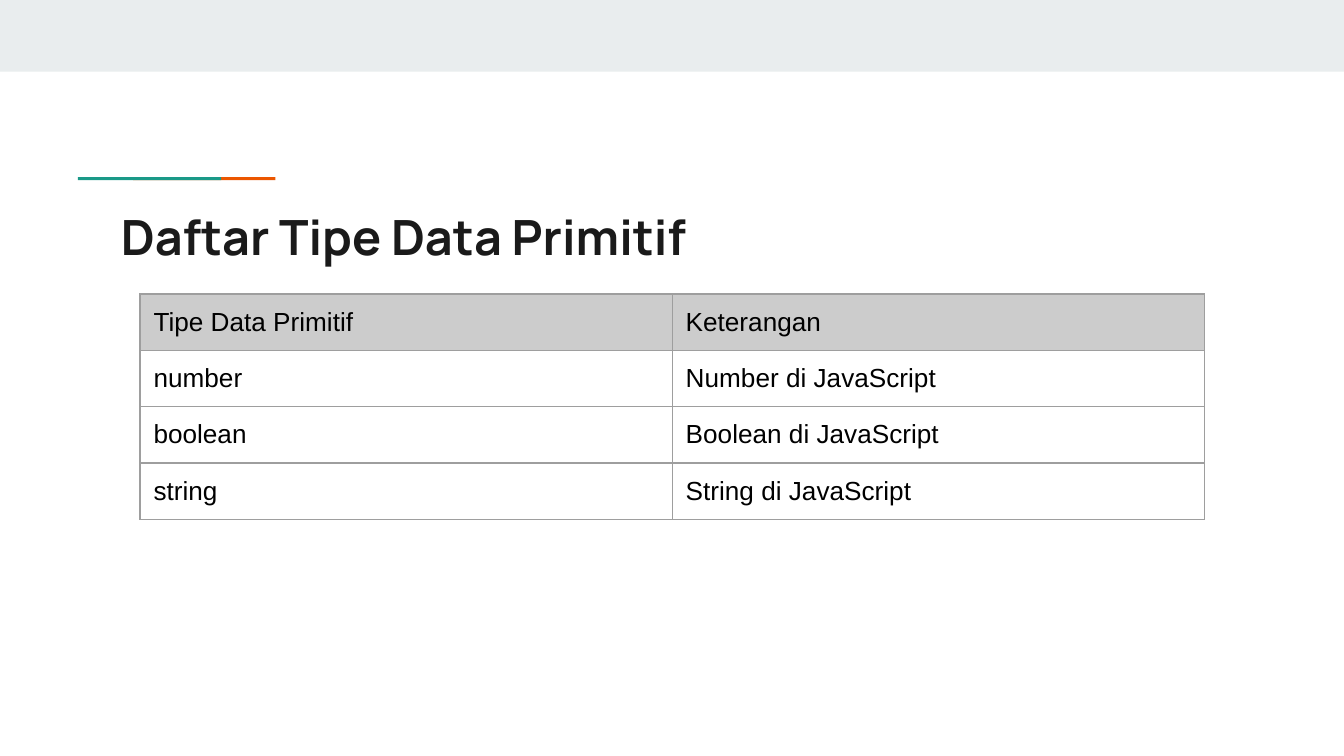
"""Build a slide that lists primitive data types in a table."""
from dataclasses import dataclass

from lxml.etree import SubElement
from pptx import Presentation
from pptx.dml.color import RGBColor
from pptx.enum.shapes import MSO_SHAPE
from pptx.enum.text import MSO_ANCHOR, PP_ALIGN
from pptx.oxml.ns import qn
from pptx.slide import Slide
from pptx.table import _Cell
from pptx.text.text import TextFrame
from pptx.util import Inches, Length, Pt


@dataclass(frozen=True)
class Theme:
    band: str = "E9EDEE"
    orange: str = "EB5600"
    teal: str = "1A9988"
    title: str = "1A1A1A"
    text: str = "000000"
    header: str = "CCCCCC"
    border: str = "9E9E9E"
    title_font: str = "Manrope"
    body_font: str = "Arial"
    title_size: float = 26
    body_size: float = 14
    border_width: float = 0.75


@dataclass(frozen=True)
class Area:
    column: float
    row: float
    columns: float
    rows: float

    def lengths(self) -> tuple[Length, ...]:
        return tuple(grid(n) for n in (self.column, self.row, self.columns, self.rows))


@dataclass(frozen=True)
class Bar:
    area: Area
    color: str


THEME = Theme()
GRID_COLUMNS, GRID_ROWS = 100, 56.25
BARS = (
    Bar(Area(0, 0, GRID_COLUMNS, 5.33), THEME.band),
    Bar(Area(9.9, 13.18, 10.6, 0.22), THEME.orange),
    Bar(Area(5.8, 13.18, 10.65, 0.22), THEME.teal),
)
TITLE_AREA = Area(8, 14.4, 84.1, 5.9)
TABLE_AREA = Area(10.42, 21.88, 79.2, 16.64)
TYPES = (
    ("Tipe Data Primitif", "Keterangan"),
    ("number", "Number di JavaScript"),
    ("boolean", "Boolean di JavaScript"),
    ("string", "String di JavaScript"),
)


def grid(units: float) -> Length:
    """Return the length of a number of grid units."""
    return Inches(units / 10)


def draw_bar(page: Slide, bar: Bar) -> None:
    """Draw one plain filled rectangle."""
    shape = page.shapes.add_shape(MSO_SHAPE.RECTANGLE, *bar.area.lengths())
    shape.shadow.inherit = False
    shape.fill.solid()
    shape.fill.fore_color.rgb = RGBColor.from_string(bar.color)
    shape.line.fill.background()


def write(frame: TextFrame, text: str, name: str, size: float, color: str, bold: bool) -> None:
    """Put one left-aligned paragraph in a text frame."""
    frame.text = text
    para = frame.paragraphs[0]
    para.alignment = PP_ALIGN.LEFT
    para.font.name, para.font.size, para.font.bold = name, Pt(size), bold
    para.font.color.rgb = RGBColor.from_string(color)


def set_margins(box: TextFrame | _Cell) -> None:
    """Give a text frame or cell equal margins."""
    box.margin_left = box.margin_right = box.margin_top = box.margin_bottom = grid(1)


def draw_title(page: Slide, text: str) -> None:
    """Place and format the title placeholder."""
    title = page.shapes.title
    title.left, title.top, title.width, title.height = TITLE_AREA.lengths()
    frame = title.text_frame
    frame.word_wrap = True
    frame.vertical_anchor = MSO_ANCHOR.TOP
    set_margins(frame)
    write(frame, text, THEME.title_font, THEME.title_size, THEME.title, True)


def draw_borders(cell: _Cell) -> None:
    """Line all four sides of a cell."""
    properties = cell._tc.get_or_add_tcPr()
    for index, side in enumerate(("a:lnL", "a:lnR", "a:lnT", "a:lnB")):
        line = SubElement(properties, qn(side), w=str(Pt(THEME.border_width)))
        fill = SubElement(line, qn("a:solidFill"))
        SubElement(fill, qn("a:srgbClr"), val=THEME.border)
        properties.insert(index, line)


def draw_table(page: Slide, rows: tuple[tuple[str, ...], ...]) -> None:
    """Draw the table with a shaded header row."""
    frame = page.shapes.add_table(len(rows), len(rows[0]), *TABLE_AREA.lengths())
    table = frame.table
    table.first_row = table.horz_banding = False
    for row, texts in enumerate(rows):
        for column, text in enumerate(texts):
            cell = table.cell(row, column)
            set_margins(cell)
            write(cell.text_frame, text, THEME.body_font, THEME.body_size, THEME.text, False)
            if row == 0:
                cell.fill.solid()
                cell.fill.fore_color.rgb = RGBColor.from_string(THEME.header)
            else:
                cell.fill.background()
            draw_borders(cell)


def main() -> None:
    """Build and save the deck."""
    deck = Presentation()
    deck.slide_width, deck.slide_height = grid(GRID_COLUMNS), grid(GRID_ROWS)
    page = deck.slides.add_slide(deck.slide_layouts.get_by_name("Title Only"))
    for bar in BARS:
        draw_bar(page, bar)
    draw_title(page, "Daftar Tipe Data Primitif")
    draw_table(page, TYPES)
    deck.save("out.pptx")


if __name__ == "__main__":
    main()
